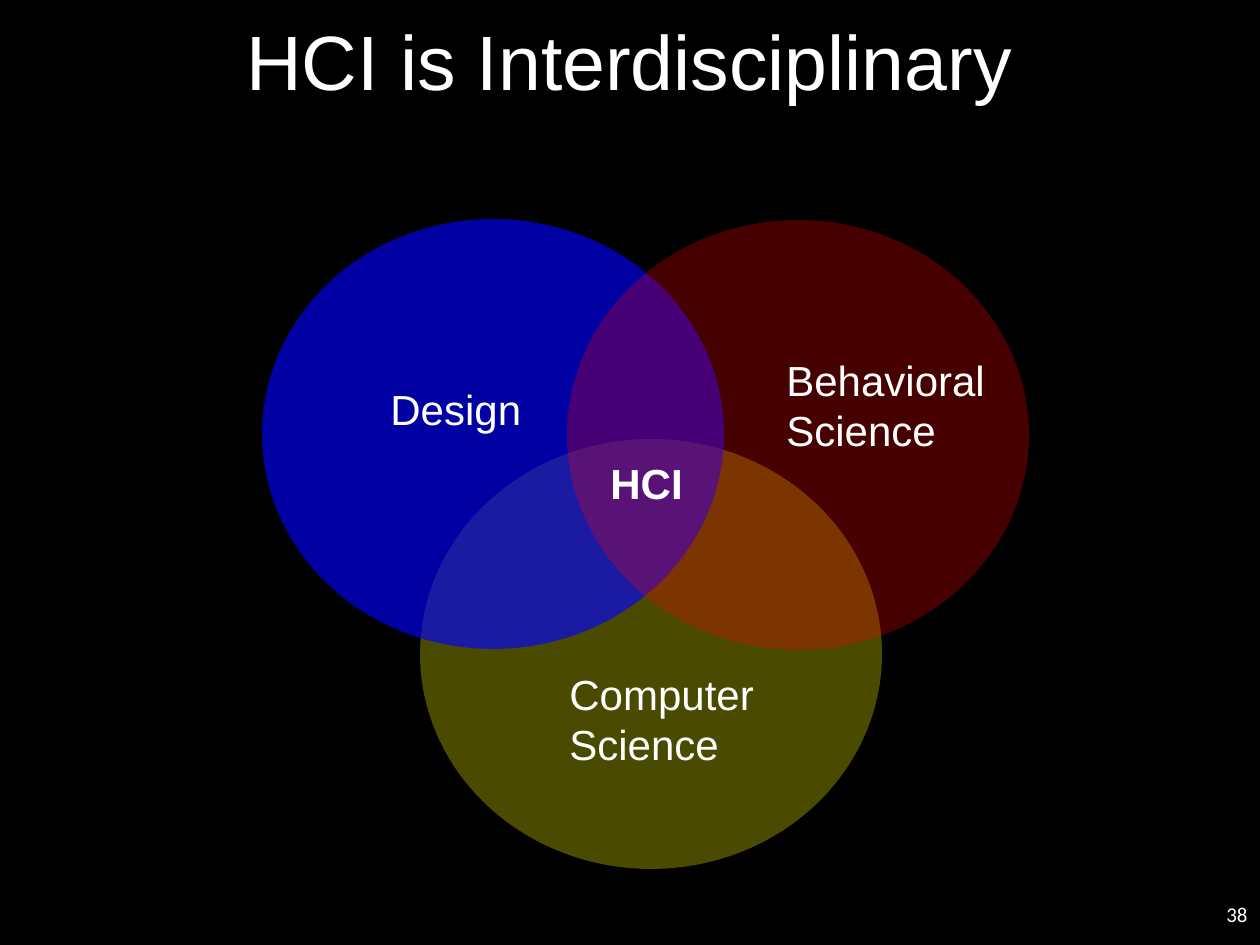
from dataclasses import dataclass

from lxml import etree
from pptx import Presentation
from pptx.dml.color import RGBColor
from pptx.enum.shapes import MSO_SHAPE
from pptx.enum.text import MSO_ANCHOR, MSO_AUTO_SIZE, PP_ALIGN
from pptx.oxml.ns import qn
from pptx.util import Emu, Pt

OVAL = MSO_SHAPE.OVAL
TOP, MIDDLE = MSO_ANCHOR.TOP, MSO_ANCHOR.MIDDLE
LEFT, CENTER, RIGHT = PP_ALIGN.LEFT, PP_ALIGN.CENTER, PP_ALIGN.RIGHT
FIT, FIXED = MSO_AUTO_SIZE.SHAPE_TO_FIT_TEXT, MSO_AUTO_SIZE.NONE

BLACK = RGBColor(0, 0, 0)
WHITE = RGBColor(255, 255, 255)
YELLOW = RGBColor(255, 255, 0)
BLUE = RGBColor(0, 0, 255)
RED = RGBColor(255, 0, 0)

SCALE = 914400 / 126
WIDE, HIGH = 462, 430


@dataclass
class Circle:
    left: int
    top: int
    color: RGBColor
    alpha: int


@dataclass
class Label:
    text: str
    left: int
    top: int
    width: int
    height: int
    wrap: bool = True
    bold: bool = False


CIRCLES = [
    Circle(420, 439, YELLOW, 29),
    Circle(262, 219, BLUE, 64),
    Circle(567, 220, RED, 28),
]
LABELS = [
    Label("Computer Science", 557, 662, 218, 115),
    Label("Design", 378, 377, 158, 63, wrap=False),
    Label("Behavioral\nScience", 774, 348, 226, 115, wrap=False),
    Label("HCI", 598, 451, 126, 63, bold=True),
]


def px(value: int) -> Emu:
    return Emu(round(value * SCALE))


def write(box, text: str, *, size: int = 24, font: str = "Arial",
          bold: bool = False, align=LEFT, anchor=TOP, wrap: bool = True,
          fit=FIXED) -> None:
    frame = box.text_frame
    frame.word_wrap = wrap
    frame.auto_size = fit
    frame.vertical_anchor = anchor
    para = frame.paragraphs[0]
    para.text = text
    para.alignment = align
    for run in para.runs:
        run.font.size = Pt(size)
        run.font.name = font
        run.font.bold = bold
        run.font.color.rgb = WHITE


def draw_circle(slide, circle: Circle) -> None:
    shape = slide.shapes.add_shape(
        OVAL, px(circle.left), px(circle.top), px(WIDE), px(HIGH))
    shape.shadow.inherit = False
    shape.line.fill.background()
    shape.fill.solid()
    shape.fill.fore_color.rgb = circle.color
    color = shape.fill._xPr.find(qn("a:solidFill"))[0]
    etree.SubElement(color, qn("a:alpha")).set("val", str(circle.alpha * 1000))


def add_box(slide, left: int, top: int, width: int, height: int):
    return slide.shapes.add_textbox(px(left), px(top), px(width), px(height))


def draw_label(slide, label: Label) -> None:
    box = add_box(slide, label.left, label.top, label.width, label.height)
    write(box, label.text, bold=label.bold, wrap=label.wrap, fit=FIT)


def main() -> None:
    deck = Presentation()
    deck.slide_width, deck.slide_height = px(1260), px(945)
    slide = deck.slides.add_slide(deck.slide_layouts[5])
    slide.background.fill.solid()
    slide.background.fill.fore_color.rgb = BLACK

    title = slide.shapes.title
    title.left, title.top = px(94), px(-42)
    title.width, title.height = px(1071), px(203)
    write(title, "HCI is Interdisciplinary", size=44, align=CENTER,
          anchor=MIDDLE)

    number = add_box(slide, 1207, 892, 53, 44)
    write(number, "38", size=12, font="Calibri", align=RIGHT, anchor=MIDDLE)

    for circle in CIRCLES:
        draw_circle(slide, circle)
    for label in LABELS:
        draw_label(slide, label)
    deck.save("out.pptx")


if __name__ == "__main__":
    main()
